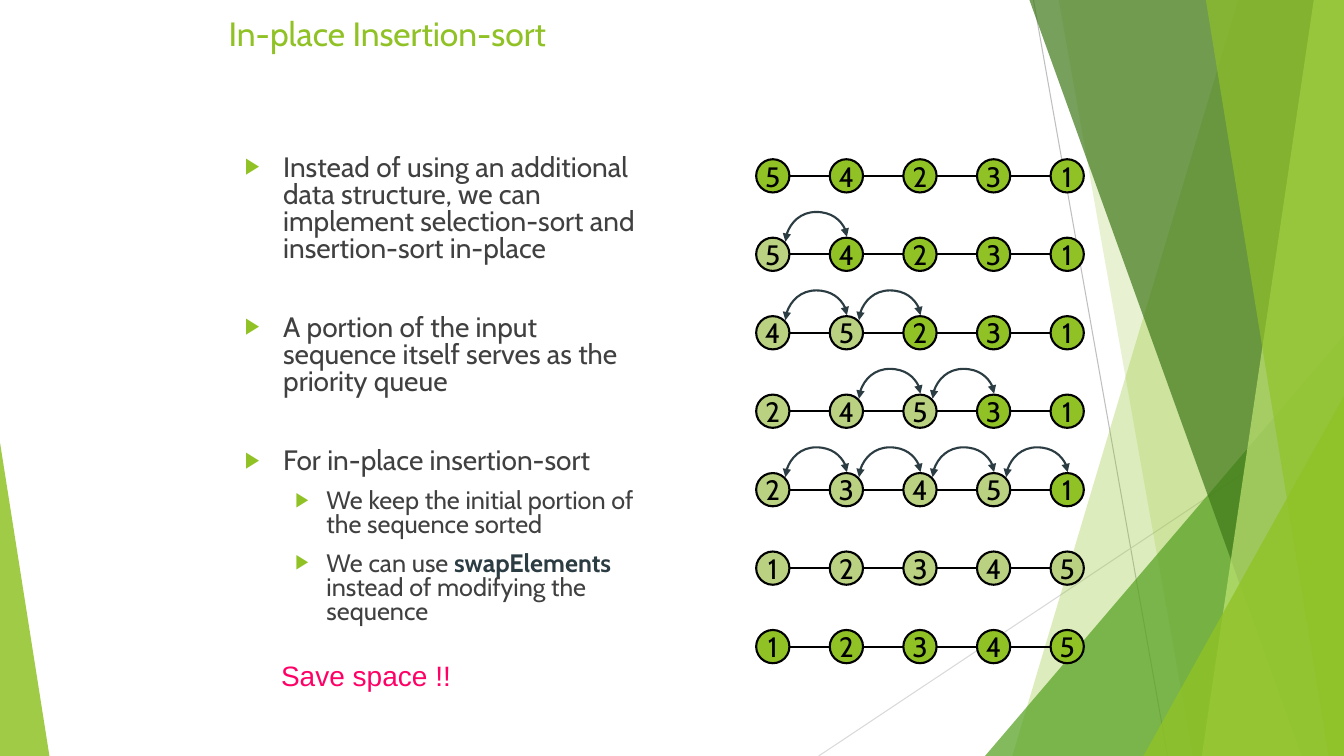
from dataclasses import dataclass

from lxml.etree import SubElement
from pptx import Presentation
from pptx.dml.color import RGBColor as Rgb
from pptx.enum.shapes import MSO_CONNECTOR as Link, MSO_SHAPE as Preset
from pptx.enum.text import MSO_ANCHOR as Anchor, PP_ALIGN as Align
from pptx.oxml.ns import qn
from pptx.util import Inches, Pt


@dataclass(frozen=True)
class Theme:
    green: str = "90C226"
    pale: str = "B9D181"
    leaf: str = "54A021"
    forest: str = "3F7819"
    lime: str = "C0E474"
    ink: str = "404040"
    slate: str = "2C3C43"
    black: str = "000000"
    pink: str = "FF0066"
    silver: str = "BFBFBF"
    mist: str = "D9D9D9"
    font: str = "Cabin"
    note_font: str = "Arial"
    title_size: int = 24
    text_size: int = 20
    sub_size: int = 18


theme = Theme()


def write(paragraph, text, color, size, **formats):
    run = paragraph.add_run()
    run.text = text
    run.font.color.rgb = Rgb.from_string(color)
    for key, value in {"name": theme.font, "size": Pt(size), **formats}.items():
        setattr(run.font, key, value)


def draw_line(kind, ends, color, width):
    line = slide.shapes.add_connector(kind, *[Inches(v) for v in ends])
    line.line.color.rgb = Rgb.from_string(color)
    line.line.width = Pt(width)
    SubElement(line._element.spPr, qn("a:effectLst"))
    return line


deck = Presentation()
deck.slide_width, deck.slide_height = Inches(13.33), Inches(7.5)
slide = deck.slides.add_slide(deck.slide_layouts[6])

draw_line(Link.STRAIGHT, (10.25, 0, 11.58, 7.5), theme.silver, 0.75)
draw_line(Link.STRAIGHT, (13.33, 4.03, 8.12, 7.5), theme.mist, 0.75)

facets = [
    ("band", (12.28, 10.04), theme.green, 30),
    ("band", (10.5, 11.83), theme.green, 20),
    ("triangle", (9.77, 3.33, 3.56, 4.17, 1), theme.leaf, 72),
    ("band", (10.21, 12.91), theme.forest, 70),
    ("band", (13.03, 11.92), theme.lime, 70),
    ("band", (11.96, 13.18), theme.green, 65),
    ("triangle", (11.34, 3.93, 1.99, 3.57, 1), theme.green, 80),
    ("triangle", (0, 4.39, 0.49, 3.11, 0), theme.green, 85),
]
for form, place, color, opacity in facets:
    if form == "band":
        top_x, bottom_x = place
        outline = slide.shapes.build_freeform(Inches(top_x), 0)
        corners = [(13.33, 0), (13.33, 7.5), (bottom_x, 7.5)]
        outline.add_line_segments([(Inches(x), Inches(y)) for x, y in corners])
        facet = outline.convert_to_shape()
    else:
        *box, apex = place
        facet = slide.shapes.add_shape(Preset.ISOSCELES_TRIANGLE, *[Inches(v) for v in box])
        facet.adjustments[0] = apex
    facet.shadow.inherit = False
    facet.line.fill.background()
    facet.fill.solid()
    facet.fill.fore_color.rgb = Rgb.from_string(color)
    tint = facet._element.spPr.find(qn("a:solidFill"))[0]
    SubElement(tint, qn("a:alpha"), val=str(opacity * 1000))

title = slide.shapes.add_textbox(Inches(2.17), Inches(0.08), Inches(9), Inches(1)).text_frame
title.word_wrap = True
write(title.paragraphs[0], "In-place Insertion-sort", theme.green, theme.title_size)

body = slide.shapes.add_textbox(Inches(2.33), Inches(1.5), Inches(4.25), Inches(5.17)).text_frame
body.word_wrap = True
points = [
    (0, 0, ["Instead of using an additional data structure, we can implement "
            "selection-sort and insertion-sort in-place"]),
    (0, 37.5, ["A portion of the input sequence itself serves as the priority queue"]),
    (0, 37.5, ["For in-place insertion-sort"]),
    (1, 10, ["We keep the initial portion of the sequence sorted"]),
    (1, 10, ["We can use ", "swapElements", " instead of modifying the sequence"]),
]
for number, (level, gap, parts) in enumerate(points):
    point = body.add_paragraph() if number else body.paragraphs[0]
    for key, value in {"level": level, "line_spacing": 0.8, "space_before": Pt(gap)}.items():
        setattr(point, key, value)
    margin, indent = [(0.38, -0.38), (0.81, -0.31)][level]
    props = point._p.get_or_add_pPr()
    props.set("marL", str(Inches(margin)))
    props.set("indent", str(Inches(indent)))
    SubElement(SubElement(props, qn("a:buClr")), qn("a:srgbClr"), val=theme.green)
    SubElement(props, qn("a:buSzPct"), val="80000")
    SubElement(props, qn("a:buFont"), typeface=theme.note_font)
    SubElement(props, qn("a:buChar"), char="▶")
    for part in parts:
        is_code = part == "swapElements"
        write(point, part, theme.slate if is_code else theme.ink,
              theme.sub_size if level else theme.text_size, bold=is_code)

steps = [
    ("54231", 0, []),
    ("54231", 1, [0]),
    ("45231", 2, [0, 1]),
    ("24531", 3, [1, 2]),
    ("23451", 4, [0, 1, 2, 3]),
    ("12345", 5, []),
    ("12345", 0, []),
]
left, top, node_size, column_step = 7.5, 1.58, 0.33, 0.73
row_step = (6.25 - top) / (len(steps) - 1)
for row, (values, sorted_count, swaps) in enumerate(steps):
    y = top + row * row_step
    middle = y + node_size / 2
    draw_line(Link.STRAIGHT, (left + node_size, middle, left + 4 * column_step, middle),
              theme.black, 1.5)
    for column, value in enumerate(values):
        node = slide.shapes.add_shape(Preset.OVAL, Inches(left + column * column_step), Inches(y),
                                      Inches(node_size), Inches(node_size))
        node.shadow.inherit = False
        node.fill.solid()
        node.fill.fore_color.rgb = Rgb.from_string(
            theme.pale if column < sorted_count else theme.green)
        node.line.color.rgb = Rgb.from_string(theme.black)
        node.line.width = Pt(1.5)
        frame = node.text_frame
        layout = {"word_wrap": False, "vertical_anchor": Anchor.MIDDLE, "margin_left": 0,
                  "margin_right": 0, "margin_top": 0, "margin_bottom": 0}
        for key, setting in layout.items():
            setattr(frame, key, setting)
        frame.paragraphs[0].alignment = Align.CENTER
        write(frame.paragraphs[0], value, theme.black, theme.text_size)
    for column in swaps:
        arc_x, arc_y = left + 0.57 + column * column_step, y - 0.29
        swap = draw_line(Link.CURVE, (arc_x + 0.05, arc_y + 0.61, arc_x, arc_y), theme.slate, 1.5)
        shape_props = swap._element.spPr
        shape_props.find(qn("a:xfrm")).set("rot", str(270 * 60000))
        guides = shape_props.find(qn("a:prstGeom")).find(qn("a:avLst"))
        SubElement(guides, qn("a:gd"), name="adj1", fmla="val -492900")
        for end in ("a:headEnd", "a:tailEnd"):
            SubElement(shape_props.find(qn("a:ln")), qn(end), type="triangle")

remark = slide.shapes.add_textbox(Inches(2.42), Inches(6.48), Inches(2.42), Inches(0.44)).text_frame
remark.word_wrap = True
remark.vertical_anchor = Anchor.MIDDLE
remark.paragraphs[0].alignment = Align.CENTER
write(remark.paragraphs[0], "Save space !!", theme.pink, theme.text_size, name=theme.note_font)

deck.save("out.pptx")
